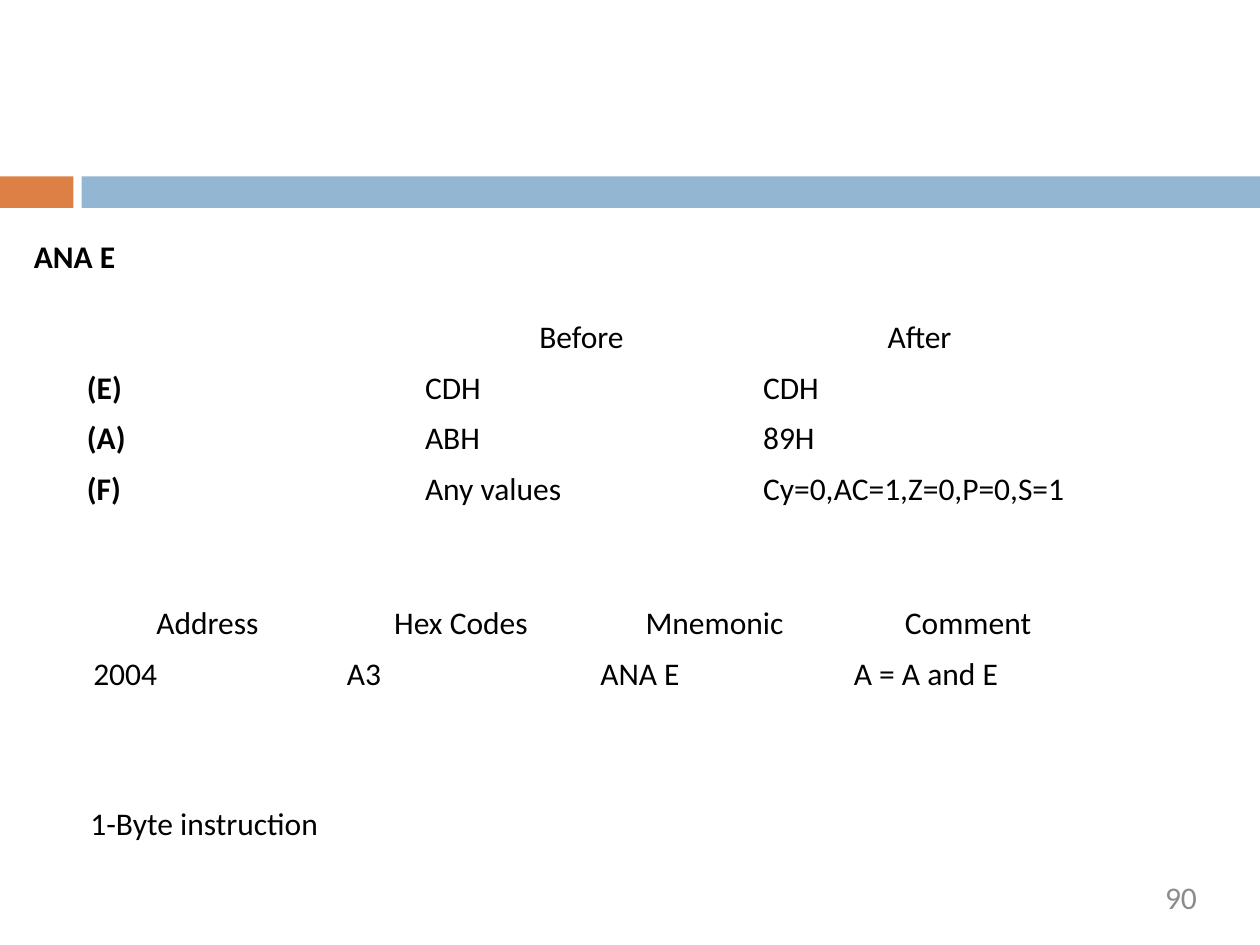
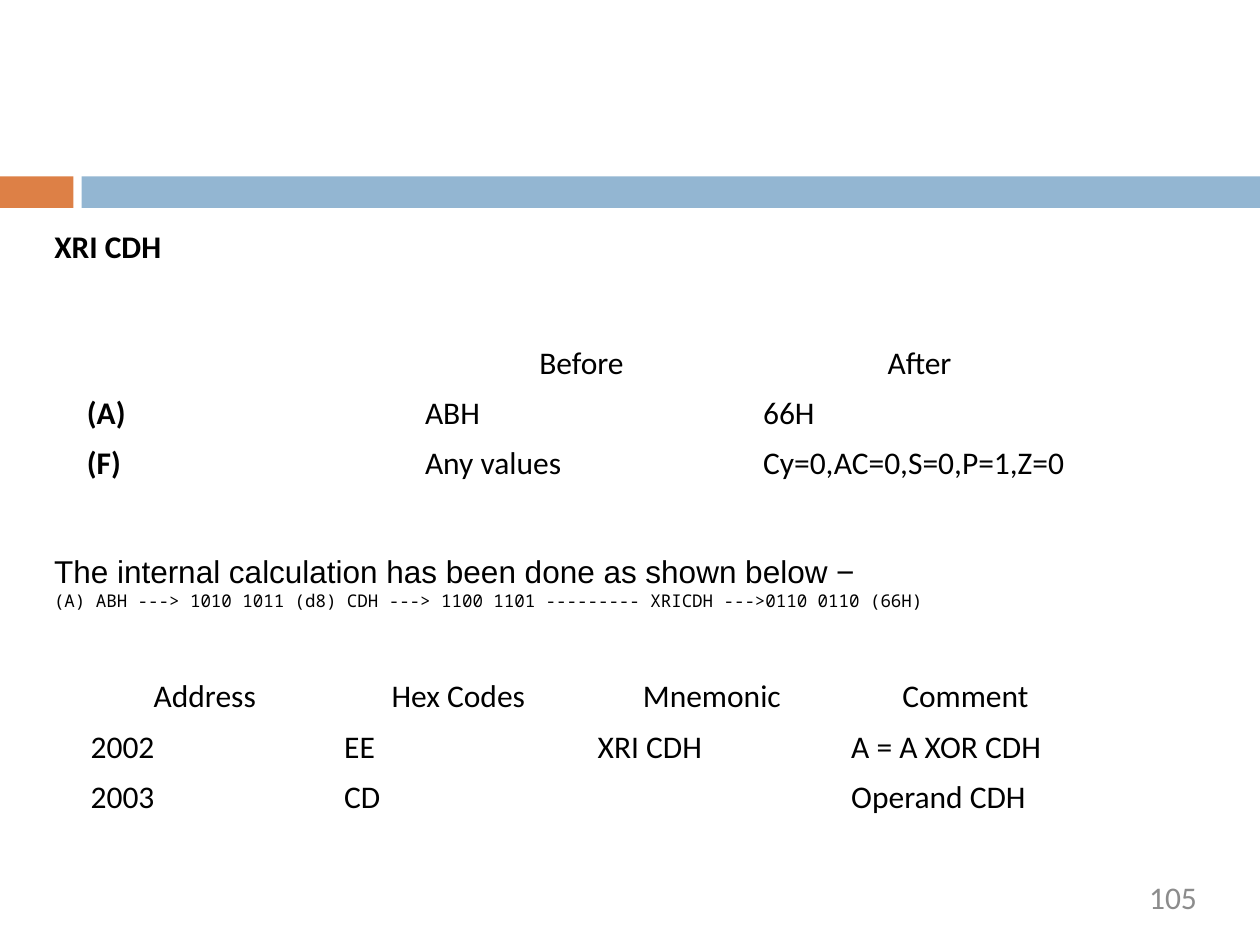
import pptx
import pptx.util
import pptx.dml.color
import pptx.enum.shapes
import pptx.enum.text
from dataclasses import dataclass

Pt = pptx.util.Pt
Align = pptx.enum.text.PP_ALIGN
Anchor = pptx.enum.text.MSO_ANCHOR


@dataclass(frozen=True)
class Theme:
    accent: str = "DD8046"
    band: str = "93B6D2"
    ink: str = "000000"
    muted: str = "8C8C8C"
    body_font: str = "Calibri"
    note_font: str = "Arial"
    code_font: str = "Noto Sans Mono"
    body_size: float = 18
    code_size: float = 10


THEME = Theme()
PAGE_WIDTH, PAGE_HEIGHT = 720, 540
BAND_TOP, BAND_HEIGHT = 100.8, 18
ACCENT_WIDTH, BAND_LEFT = 42, 46.6
TABLE_WIDTH, ROW_HEIGHT = 579.6, 28.8

REGISTER_HEADER = ("", "Before", "After")
LISTING_HEADER = ("Address", "Hex Codes", "Mnemonic", "Comment")

SLIDES = [
    {
        "title": "ANA E",
        "title_at": (12.2, 131.8),
        "number": "90",
        "registers_at": (42.5, 178.6),
        "registers": [
            ("(E)", "CDH", "CDH"),
            ("(A)", "ABH", "89H"),
            ("(F)", "Any values", "Cy=0,AC=1,Z=0,P=0,S=1"),
        ],
        "listing_at": (46.1, 342),
        "listing": [("2004", "A3", "ANA E", "A = A and E")],
        "note_at": (44.6, 455.8, 180, 28.8),
        "note": [("1-Byte instruction", THEME.body_font, THEME.body_size)],
    },
    {
        "title": "XRI CDH",
        "title_at": (23.8, 126),
        "number": "105",
        "registers_at": (42.5, 193),
        "registers": [
            ("(A)", "ABH", "66H"),
            ("(F)", "Any values", "Cy=0,AC=0,S=0,P=1,Z=0"),
        ],
        "listing_at": (44.6, 383.8),
        "listing": [
            ("2002", "EE", "XRI CDH", "A = A XOR CDH"),
            ("2003", "CD", "", "Operand CDH"),
        ],
        "note_at": (23.8, 312, 642.2, 42),
        "note": [
            ("The internal calculation has been done as shown below −", THEME.note_font, THEME.body_size),
            ("(A) ABH ---> 1010 1011 (d8) CDH ---> 1100 1101 --------- XRICDH --->0110 0110 (66H)",
             THEME.code_font, THEME.code_size),
        ],
    },
]


def rgb(value):
    return pptx.dml.color.RGBColor.from_string(value)


def style(para, font=THEME.body_font, size=THEME.body_size, color=THEME.ink, bold=False, align=Align.LEFT):
    para.alignment = align
    for target in [para, *para.runs]:
        target.font.name = font
        target.font.size = Pt(size)
        target.font.bold = bold
        target.font.color.rgb = rgb(color)


def add_bands(page):
    for left, width, color in (
        (0, ACCENT_WIDTH, THEME.accent),
        (BAND_LEFT, PAGE_WIDTH - BAND_LEFT, THEME.band),
    ):
        band = page.shapes.add_shape(
            pptx.enum.shapes.MSO_SHAPE.RECTANGLE, Pt(left), Pt(BAND_TOP), Pt(width), Pt(BAND_HEIGHT))
        band.shadow.inherit = False
        band.fill.solid()
        band.fill.fore_color.rgb = rgb(color)
        band.line.fill.background()


def set_title(page, text, at):
    title = page.shapes.title
    title.left, title.top = map(Pt, at)
    title.width, title.height = Pt(200), Pt(28.8)
    frame = title.text_frame
    frame.text = text
    frame.auto_size = pptx.enum.text.MSO_AUTO_SIZE.NONE
    frame.vertical_anchor = Anchor.TOP
    style(frame.paragraphs[0], bold=True)


def add_table(page, at, header, rows, bold_labels=False):
    cells = [header, *rows]
    table = page.shapes.add_table(
        len(cells), len(header), *map(Pt, at), Pt(TABLE_WIDTH), Pt(ROW_HEIGHT * len(cells))).table
    table.first_row = False
    table.horz_banding = False
    for r, row in enumerate(cells):
        for c, text in enumerate(row):
            cell = table.cell(r, c)
            cell.fill.background()
            cell.vertical_anchor = Anchor.MIDDLE
            cell.text_frame.text = text
            style(cell.text_frame.paragraphs[0],
                  bold=bold_labels and r > 0 and c == 0,
                  align=Align.LEFT if r else Align.CENTER)


def add_note(page, at, lines):
    frame = page.shapes.add_textbox(*map(Pt, at)).text_frame
    frame.word_wrap = True
    frame.text = "\n".join(text for text, font, size in lines)
    for para, (text, font, size) in zip(frame.paragraphs, lines):
        style(para, font, size)


def add_number(page, number):
    frame = page.shapes.add_textbox(Pt(518.4), Pt(501.8), Pt(165.6), Pt(27.4)).text_frame
    frame.margin_left = frame.margin_right = frame.margin_top = frame.margin_bottom = 0
    frame.word_wrap = True
    frame.text = number
    style(frame.paragraphs[0], color=THEME.muted, align=Align.RIGHT)


def main():
    deck = pptx.Presentation()
    deck.slide_width, deck.slide_height = Pt(PAGE_WIDTH), Pt(PAGE_HEIGHT)
    for content in SLIDES:
        page = deck.slides.add_slide(deck.slide_layouts[5])
        add_bands(page)
        add_number(page, content["number"])
        set_title(page, content["title"], content["title_at"])
        add_table(page, content["registers_at"], REGISTER_HEADER, content["registers"], bold_labels=True)
        add_table(page, content["listing_at"], LISTING_HEADER, content["listing"])
        add_note(page, content["note_at"], content["note"])
    deck.save("out.pptx")


if __name__ == "__main__":
    main()
